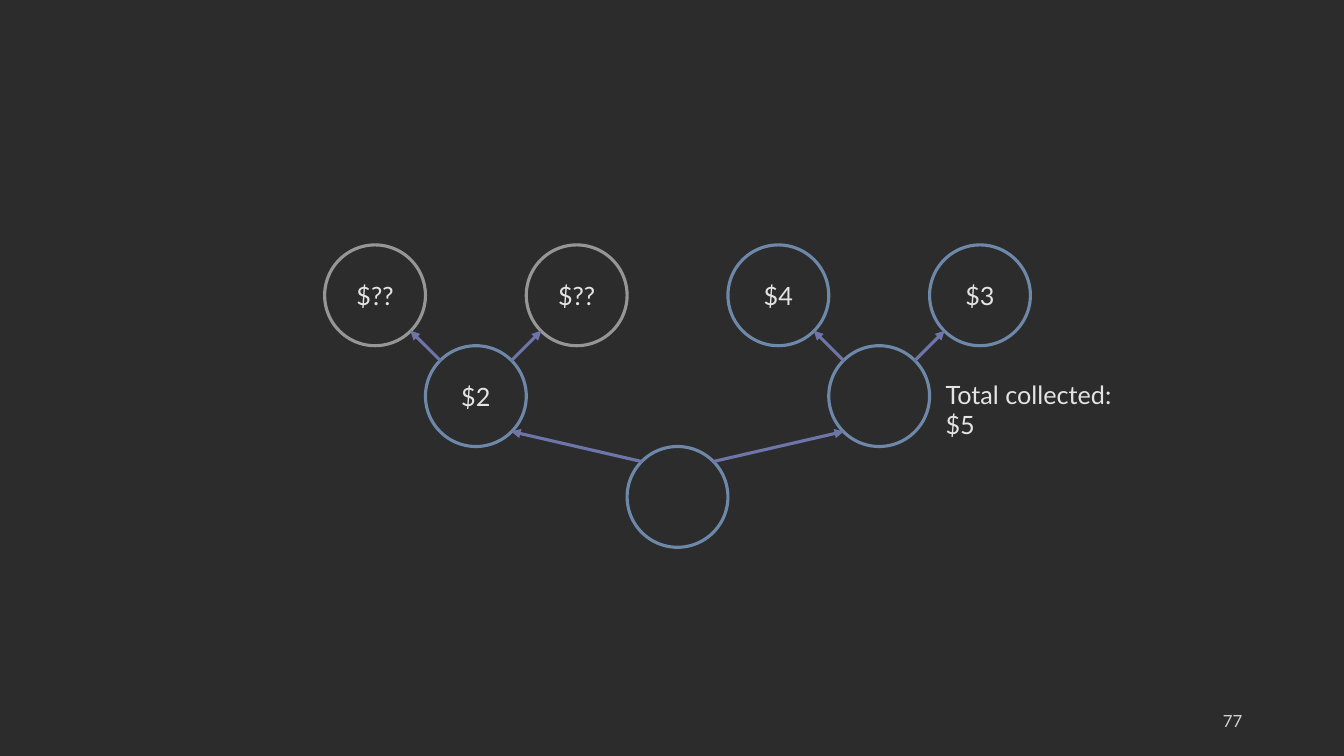
import math

import pptx
import pptx.dml.color
import pptx.enum.shapes
import pptx.enum.text
import pptx.oxml.ns
import pptx.util

RGBColor = pptx.dml.color.RGBColor
Align = pptx.enum.text.PP_ALIGN
Anchor = pptx.enum.text.MSO_ANCHOR

BACKGROUND = RGBColor(0x2C, 0x2C, 0x2C)
VISITED = RGBColor(0x6D, 0x88, 0xA8)
UNKNOWN = RGBColor(0x96, 0x96, 0x96)
ARROW = RGBColor(0x6E, 0x75, 0xA8)
TEXT = RGBColor(0xE4, 0xE4, 0xE4)
PAGE_NUMBER = RGBColor(0xD1, 0xD1, 0xD1)

EMU_PER_PX = 9144  # 100 px to the inch
DIAMETER = 100


def px(length):
    return pptx.util.Emu(length * EMU_PER_PX)


class TreeSlide:
    """Holds the style and the current slide."""

    font = "Lato"
    line_width = pptx.util.Pt(2.25)

    def __init__(self, presentation):
        self.slide = presentation.slides.add_slide(presentation.slide_layouts[6])
        fill = self.slide.background.fill
        fill.solid()
        fill.fore_color.rgb = BACKGROUND

    def set_text(self, shape, text, size=18, color=TEXT, align=Align.LEFT, anchor=Anchor.TOP):
        frame = shape.text_frame
        frame.word_wrap = True
        frame.vertical_anchor = anchor
        paragraph = frame.paragraphs[0]
        paragraph.text = text
        paragraph.alignment = align
        font = paragraph.runs[0].font
        for name, value in {"name": self.font, "size": pptx.util.Pt(size)}.items():
            setattr(font, name, value)
        font.color.rgb = color

    def text(self, box, text, **format_values):
        shape = self.slide.shapes.add_textbox(*map(px, box))
        self.set_text(shape, text, **format_values)

    def node(self, center, label, color):
        left, top = (middle - DIAMETER // 2 for middle in center)
        shape = self.slide.shapes.add_shape(
            pptx.enum.shapes.MSO_SHAPE.OVAL, px(left), px(top), px(DIAMETER), px(DIAMETER))
        shape.shadow.inherit = False
        shape.fill.background()
        shape.line.color.rgb = color
        shape.line.width = self.line_width
        if label:
            self.set_text(shape, label, align=Align.CENTER, anchor=Anchor.MIDDLE)

    def arrow(self, parent, child):
        # Runs between the diagonal rim points of the two circles
        rim = round(DIAMETER / 2 * math.sqrt(0.5))
        side = rim if child[0] > parent[0] else -rim
        connector = self.slide.shapes.add_connector(
            pptx.enum.shapes.MSO_CONNECTOR.STRAIGHT,
            px(parent[0] + side), px(parent[1] - rim),
            px(child[0] - side), px(child[1] + rim))
        connector.line.color.rgb = ARROW
        connector.line.width = self.line_width
        properties = connector._element.spPr
        line = properties.find(pptx.oxml.ns.qn("a:ln"))
        for owner, tag, attributes in (
                (line, "a:tailEnd", {"type": "triangle"}),
                (properties, "a:effectLst", {})):
            owner.append(owner.makeelement(pptx.oxml.ns.qn(tag), attributes))


def main():
    presentation = pptx.Presentation()
    presentation.slide_width = px(1333)
    presentation.slide_height = px(750)
    tree = TreeSlide(presentation)

    # Tree: name -> (center, label, outline, parent)
    nodes = {
        "root": ((672, 493), "", VISITED, None),
        "left": ((472, 393), "$2", VISITED, "root"),
        "right": ((872, 393), "", VISITED, "root"),
        "right-left": ((772, 293), "$4", VISITED, "right"),
        "right-right": ((972, 293), "$3", VISITED, "right"),
        "left-left": ((372, 293), "$??", UNKNOWN, "left"),
        "left-right": ((572, 293), "$??", UNKNOWN, "left"),
    }
    for center, label, color, parent in nodes.values():
        tree.node(center, label, color)
        if parent:
            tree.arrow(nodes[parent][0], center)

    # Running total and slide number
    tree.text((928, 371, 216, 40), "Total collected: $5")
    tree.text((942, 695, 300, 40), "77", size=12, color=PAGE_NUMBER,
              align=Align.RIGHT, anchor=Anchor.MIDDLE)

    presentation.save("out.pptx")


if __name__ == "__main__":
    main()
